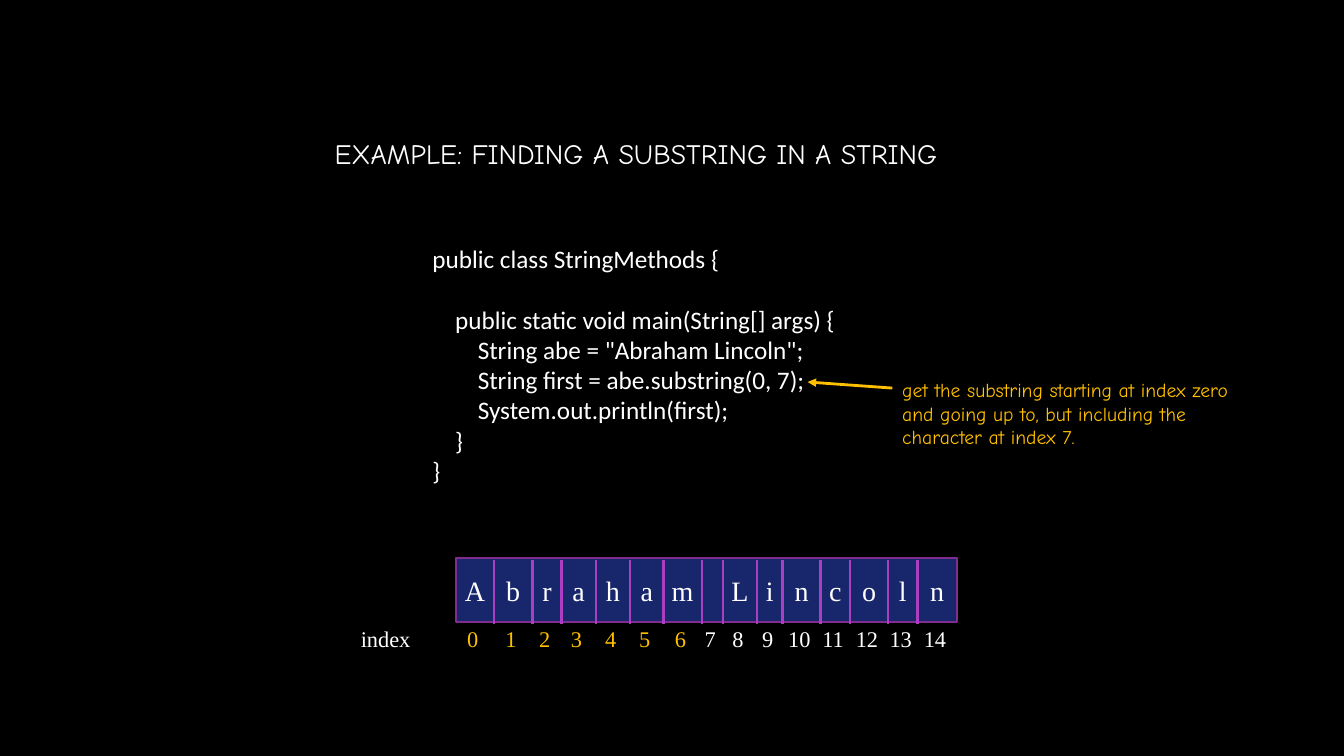
from lxml import etree
from pptx import Presentation
from pptx.dml.color import RGBColor
from pptx.enum.shapes import MSO_CONNECTOR, MSO_SHAPE
from pptx.oxml.ns import qn
from pptx.util import Inches, Pt

RECTANGLE = MSO_SHAPE.RECTANGLE
STRAIGHT = MSO_CONNECTOR.STRAIGHT

BLACK = RGBColor(0x00, 0x00, 0x00)
WHITE = RGBColor(0xFF, 0xFF, 0xFF)
GOLD = RGBColor(0xFF, 0xC0, 0x00)
NAVY = RGBColor(0x18, 0x27, 0x6C)
PURPLE = RGBColor(0x7F, 0x2E, 0x8F)
VIOLET = RGBColor(0xAC, 0x3E, 0xC1)

prs = Presentation()
prs.slide_width, prs.slide_height = Inches(13.33), Inches(7.5)
slide = prs.slides.add_slide(prs.slide_layouts[6])
slide.background.fill.solid()
slide.background.fill.fore_color.rgb = BLACK


def add_text(text, left, top, width, height, font, size, color):
    frame = slide.shapes.add_textbox(
        Inches(left), Inches(top), Inches(width), Inches(height)).text_frame
    frame.word_wrap = True
    frame.text = text
    for paragraph in frame.paragraphs:
        for run in paragraph.runs:
            run.font.name = font
            run.font.size = Pt(size)
            run.font.color.rgb = color
    return frame


def add_line(x1, y1, x2, y2, color, width):
    connector = slide.shapes.add_connector(
        STRAIGHT, Inches(x1), Inches(y1), Inches(x2), Inches(y2))
    connector.line.color.rgb = color
    connector.line.width = Pt(width)
    etree.SubElement(connector._element.spPr, qn("a:effectLst"))
    return connector


# Title
add_text("EXAMPLE: FINDING A SUBSTRING IN A STRING",
         3.22, 1.31, 7.04, 0.44, "Comic Neue", 20, WHITE)

# Code listing: indent level and line
code = [
    (0, "public class StringMethods {"),
    (1, "public static void main(String[] args) {"),
    (2, 'String abe = "Abraham Lincoln";'),
    (2, "String first = abe.substring(0, 7);"),
    (2, "System.out.println(first);"),
    (1, "}"),
    (0, "}"),
]
listing = add_text("\n".join(line for _, line in code),
                   4.19, 2.36, 4.25, 2.52, "Calibri", 18, WHITE)
for paragraph, (level, _) in zip(listing.paragraphs, code):
    paragraph._p.get_or_add_pPr().set("marL", str(Inches(0.225 * level)))
listing.paragraphs[1].space_before = Pt(22)

# Character cells
name = "Abraham Lincoln"
edges = [4.52, 4.9, 5.28, 5.57, 5.91, 6.25, 6.58, 6.96,
         7.17, 7.51, 7.76, 8.14, 8.43, 8.81, 9.1, 9.49]
centers = [(left + right) / 2 for left, right in zip(edges, edges[1:])]
bar = slide.shapes.add_shape(
    RECTANGLE, Inches(4.52), Inches(5.54), Inches(4.97), Inches(0.63))
bar.shadow.inherit = False
bar.fill.solid()
bar.fill.fore_color.rgb = NAVY
bar.line.color.rgb = PURPLE
bar.line.width = Pt(1.5)
for edge in edges[1:-1]:
    add_line(edge, 5.56, edge, 6.19, VIOLET, 1.75)

# Letters and indexes, each centred on its cell by a tab stop
letters = add_text("\t" + "\t".join(name),
                   4.52, 5.64, 4.97, 0.44, "Times New Roman", 20, WHITE)
indexes = add_text("index", 3.48, 6.15, 6.19, 0.37,
                   "Times New Roman", 16, WHITE)
for numbers, color in [(range(7), GOLD), (range(7, len(name)), WHITE)]:
    run = indexes.paragraphs[0].add_run()
    run.text = "".join(f"\t{number}" for number in numbers)
    run.font.name = "Times New Roman"
    run.font.size = Pt(16)
    run.font.color.rgb = color
for frame, left, shift in [(letters, 4.52, 0), (indexes, 3.48, -0.02)]:
    frame.margin_right = 0
    frame.margin_left = Inches(0.1) if frame is indexes else 0
    start = left + frame.margin_left.inches
    tabs = etree.SubElement(
        frame.paragraphs[0]._p.get_or_add_pPr(), qn("a:tabLst"))
    for center in centers:
        etree.SubElement(tabs, qn("a:tab"), algn="ctr",
                         pos=str(Inches(center + shift - start)))

# Note with arrow
arrow = add_line(8.85, 3.85, 8.01, 3.79, GOLD, 2)
etree.SubElement(arrow.line._get_or_add_ln(), qn("a:tailEnd"), type="triangle")
add_text("get the substring starting at index zero\n"
         "and going up to, but including the\n"
         "character at index 7.",
         8.85, 3.7, 3.86, 0.81, "Comic Neue", 14, GOLD)

prs.save("out.pptx")
